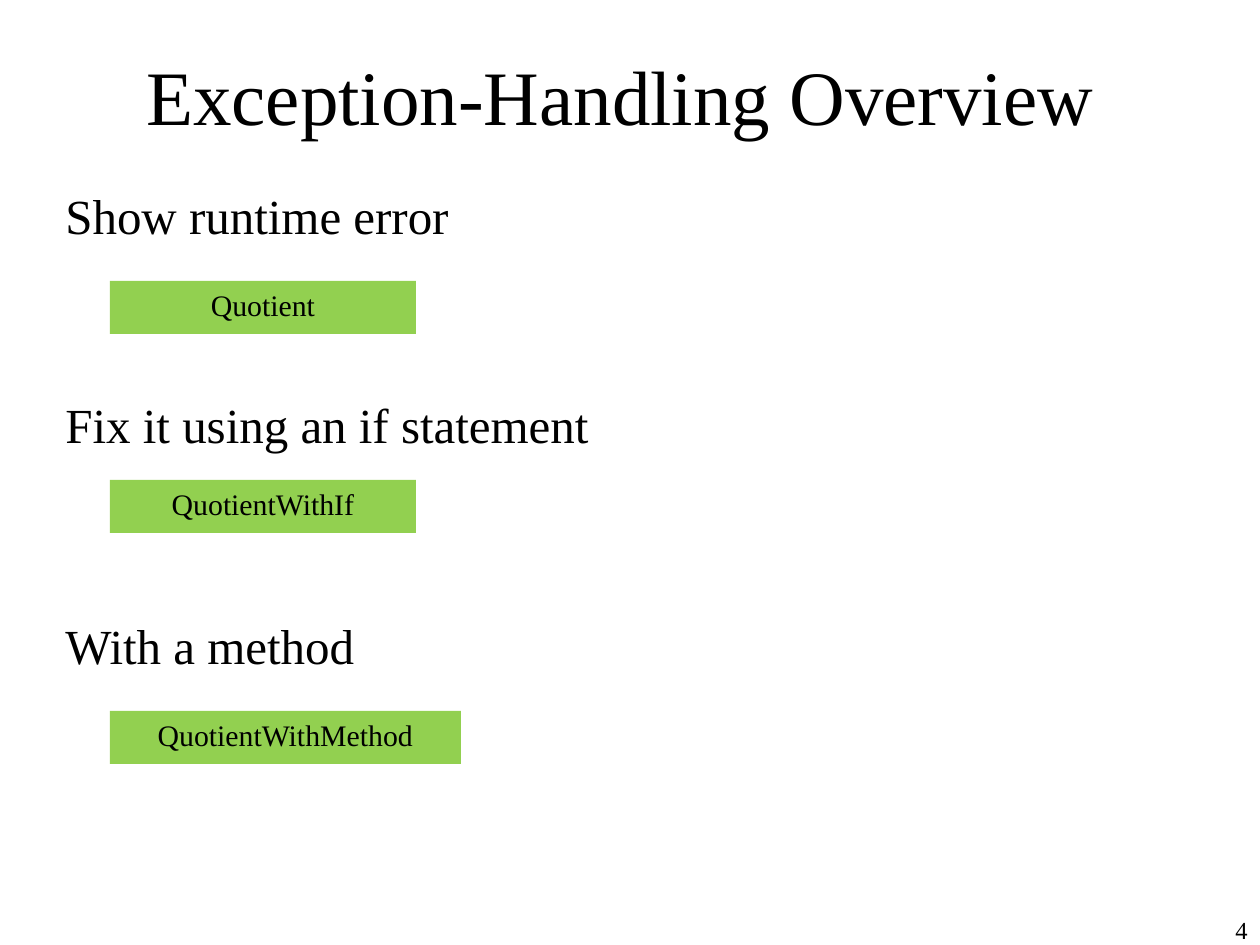
from pptx import Presentation
from pptx import util as u
from pptx.dml.color import RGBColor
from pptx.enum import shapes, text

SCALE = 914400 / 126
COLORS = {"ink": "000000", "green": "92D050"}


def emu(*lengths):
    return [u.Emu(round(length * SCALE)) for length in lengths]


class SlideBuilder:
    font = "Times New Roman"

    def __init__(self, slide):
        self.slide = slide

    def add_words(self, shape, words, size, align, anchor):
        frame = shape.text_frame
        frame.word_wrap = True
        frame.vertical_anchor = anchor
        paragraph = frame.paragraphs[0]
        paragraph.alignment = align
        run = paragraph.add_run()
        run.text = words
        run.font.name = self.font
        run.font.size = u.Pt(size)
        run.font.color.rgb = RGBColor.from_string(COLORS["ink"])

    def label(self, words, box, size, align=text.PP_ALIGN.LEFT,
              anchor=text.MSO_ANCHOR.TOP):
        shape = self.slide.shapes.add_textbox(*emu(*box))
        self.add_words(shape, words, size, align, anchor)

    def button(self, words, box):
        shape = self.slide.shapes.add_shape(shapes.MSO_SHAPE.RECTANGLE, *emu(*box))
        shape.shadow.inherit = False
        shape.fill.solid()
        shape.fill.fore_color.rgb = RGBColor.from_string(COLORS["green"])
        shape.line.fill.background()
        self.add_words(shape, words, 17, text.PP_ALIGN.CENTER, text.MSO_ANCHOR.TOP)


def main():
    presentation = Presentation()
    presentation.slide_width, presentation.slide_height = emu(1260, 945)
    builder = SlideBuilder(presentation.slides.add_slide(presentation.slide_layouts[6]))

    builder.label("4", (998, 914, 262, 31), 14,
                  text.PP_ALIGN.RIGHT, text.MSO_ANCHOR.MIDDLE)
    builder.label("Exception-Handling Overview ", (42, 53, 1176, 84), 44,
                  text.PP_ALIGN.CENTER, text.MSO_ANCHOR.MIDDLE)

    examples = [
        ("Show runtime error", 179, "Quotient", 281, 306),
        ("Fix it using an if statement", 388, "QuotientWithIf", 480, 306),
        ("With a method", 609, "QuotientWithMethod", 711, 351),
    ]
    for heading, heading_top, program, button_top, button_width in examples:
        builder.label(heading, (53, heading_top, 1176, 72), 28)
        builder.button(program, (110, button_top, button_width, 53))

    presentation.save("out.pptx")


if __name__ == "__main__":
    main()
